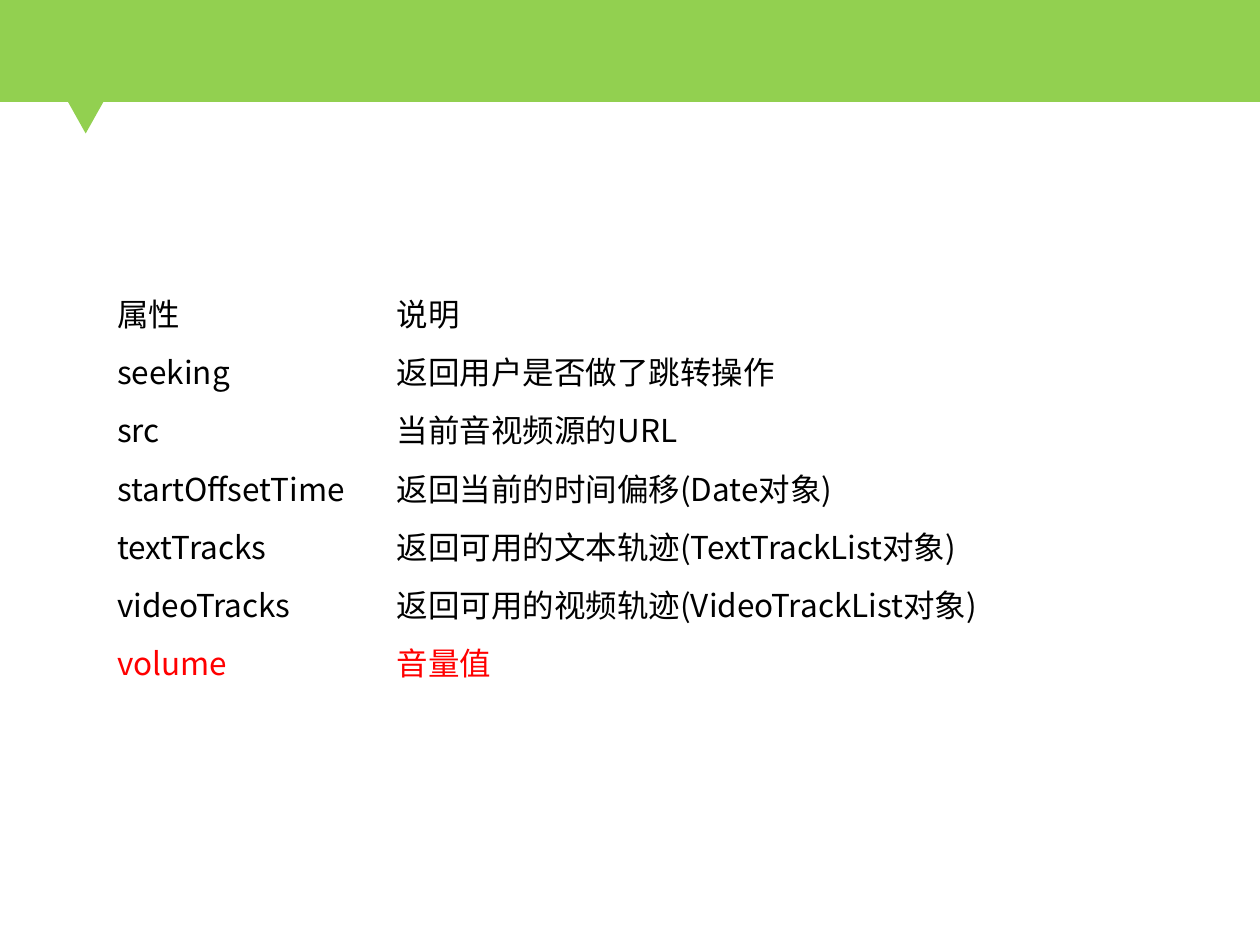
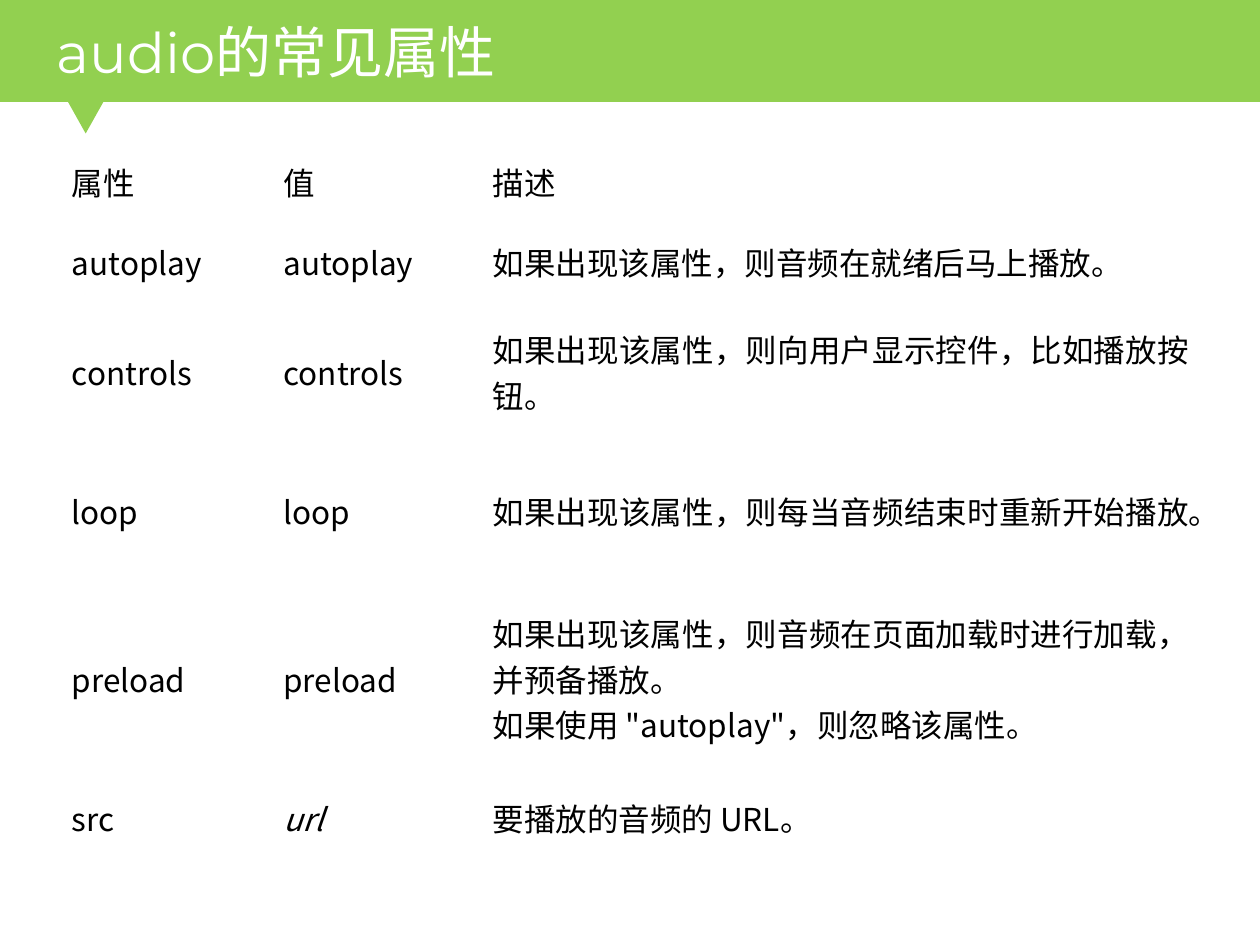
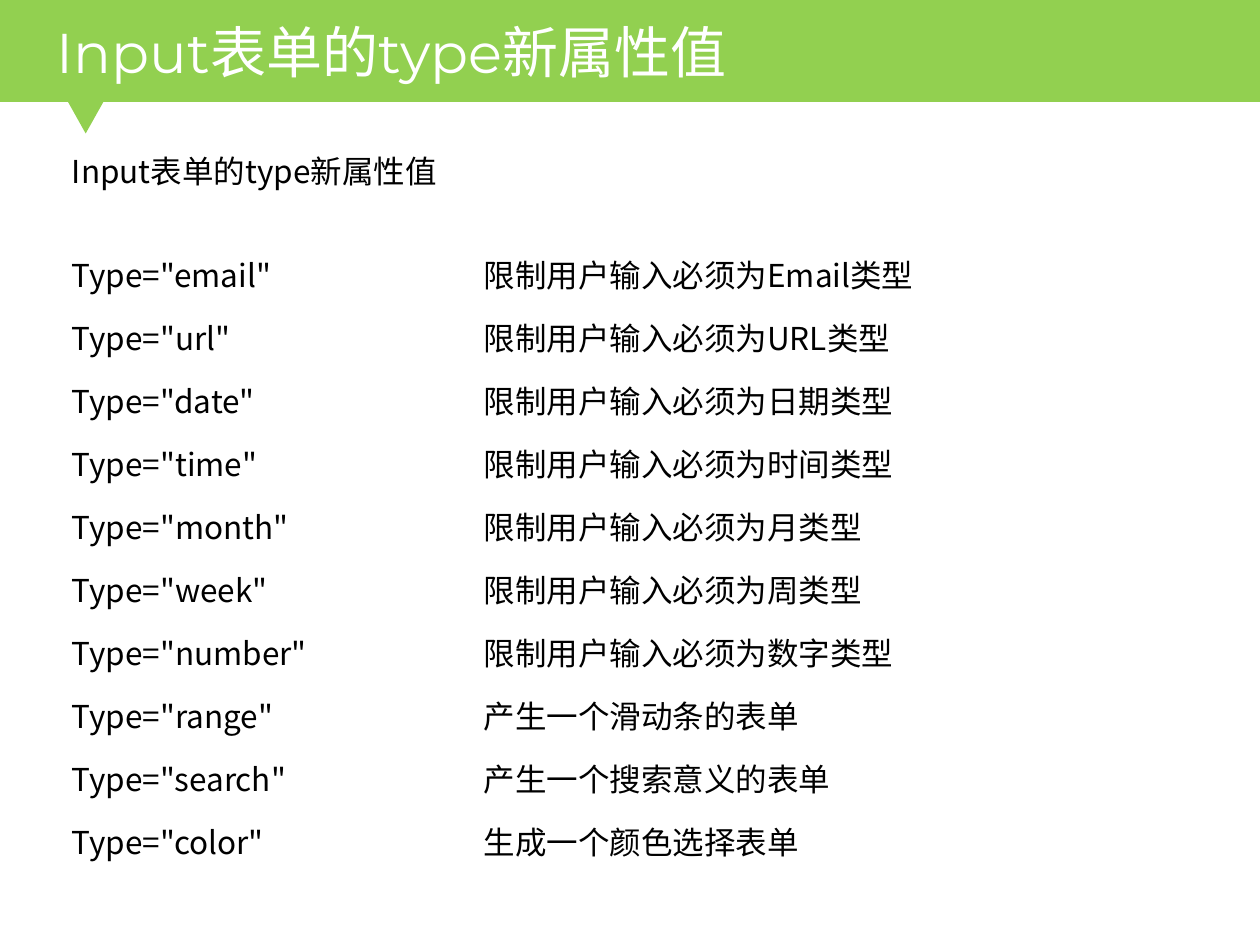
from dataclasses import dataclass

import pptx
import pptx.dml.color
import pptx.enum.shapes
import pptx.enum.text
import pptx.util
from pptx.util import Inches


def rgb(value):
    """Return a colour from its hex value."""
    return pptx.dml.color.RGBColor.from_string(value)


@dataclass(frozen=True)
class Theme:
    """Colours, fonts and type sizes shared by the slides."""
    band = rgb("92D050")
    title = rgb("FFFFFF")
    text = rgb("000000")
    highlight = rgb("FF0000")
    title_font = "Montserrat"
    body_font = "Noto Sans CJK SC"
    title_size = pptx.util.Pt(32)
    body_size = pptx.util.Pt(18)


THEME = Theme()
MIDDLE = pptx.enum.text.MSO_ANCHOR.MIDDLE
TOP = pptx.enum.text.MSO_ANCHOR.TOP

MEDIA_ROWS = [
    ("属性", "说明"),
    ("seeking", "返回用户是否做了跳转操作"),
    ("src", "当前音视频源的URL"),
    ("startOffsetTime", "返回当前的时间偏移(Date对象)"),
    ("textTracks", "返回可用的文本轨迹(TextTrackList对象)"),
    ("videoTracks", "返回可用的视频轨迹(VideoTrackList对象)"),
    ("volume", "音量值"),
]
AUDIO_ROWS = [
    ("属性", "值", "描述"),
    ("autoplay", "autoplay", "如果出现该属性，则音频在就绪后马上播放。"),
    ("controls", "controls", "如果出现该属性，则向用户显示控件，比如播放按钮。"),
    ("loop", "loop", "如果出现该属性，则每当音频结束时重新开始播放。"),
    ("preload", "preload",
     "如果出现该属性，则音频在页面加载时进行加载，并预备播放。\n"
     "如果使用 \"autoplay\"，则忽略该属性。"),
    ("src", "url", "要播放的音频的 URL。"),
]
INPUT_TYPES = [
    ("email", "限制用户输入必须为Email类型"),
    ("url", "限制用户输入必须为URL类型"),
    ("date", "限制用户输入必须为日期类型"),
    ("time", "限制用户输入必须为时间类型"),
    ("month", "限制用户输入必须为月类型"),
    ("week", "限制用户输入必须为周类型"),
    ("number", "限制用户输入必须为数字类型"),
    ("range", "产生一个滑动条的表单"),
    ("search", "产生一个搜索意义的表单"),
    ("color", "生成一个颜色选择表单"),
]


def style_font(font, name, size, color):
    """Set the typeface, size and colour of a font."""
    font.name = name
    font.size = size
    font.color.rgb = color


def add_band_shape(s, kind, left, top, width, height):
    """Add one plain shape in the band colour."""
    sp = s.shapes.add_shape(kind, Inches(left), Inches(top), Inches(width), Inches(height))
    sp.shadow.inherit = False
    sp.fill.solid()
    sp.fill.fore_color.rgb = THEME.band
    sp.line.fill.background()
    return sp


def add_master_band(prs, s):
    """Draw the band and its pointer on a slide and move them to the master."""
    shapes = pptx.enum.shapes.MSO_SHAPE
    band = add_band_shape(s, shapes.RECTANGLE, 0, 0, 10, 0.81)
    pointer = add_band_shape(s, shapes.ISOSCELES_TRIANGLE, 0.54, 0.81, 0.28, 0.25)
    pointer.element.spPr.xfrm.set("flipV", "1")
    for i, sp in enumerate((band, pointer)):
        sp.element.nvSpPr.cNvPr.set("id", str(101 + i))
        prs.slide_master.shapes.element.insert(2 + i, sp.element)


def add_title(s, text):
    """Fill and place the title placeholder on the band."""
    sp = s.shapes.title
    sp.left, sp.top, sp.width, sp.height = map(Inches, (0.35, 0.06, 9.07, 0.76))
    tf = sp.text_frame
    tf.text = text
    tf.auto_size = pptx.enum.text.MSO_AUTO_SIZE.NONE
    tf.vertical_anchor = MIDDLE
    p = tf.paragraphs[0]
    p.alignment = pptx.enum.text.PP_ALIGN.LEFT
    p.line_spacing = 0.9
    style_font(p.font, THEME.title_font, THEME.title_size, THEME.title)


def fill_cell(cell, text, anchor):
    """Write justified body text in an unfilled cell."""
    cell.fill.background()
    cell.vertical_anchor = anchor
    cell.text = text
    for p in cell.text_frame.paragraphs:
        p.alignment = pptx.enum.text.PP_ALIGN.JUSTIFY
        style_font(p.font, THEME.body_font, THEME.body_size, THEME.text)


def add_text_table(s, rows, left, top, widths, heights, anchor=MIDDLE):
    """Add a plain table with the given column widths and row heights."""
    frame = s.shapes.add_table(len(rows), len(widths), Inches(left), Inches(top),
                               Inches(sum(widths)), Inches(sum(heights)))
    table = frame.table
    table.first_row = table.horz_banding = False
    for column, width in zip(table.columns, widths):
        column.width = Inches(width)
    for row, height, texts in zip(table.rows, heights, rows):
        row.height = Inches(height)
        for cell, text in zip(row.cells, texts):
            fill_cell(cell, text, anchor)
    return table


def main():
    """Build the three slides and save them."""
    prs = pptx.Presentation()
    prs.slide_width, prs.slide_height = Inches(10), Inches(7.5)
    title_only, blank = prs.slide_layouts[5], prs.slide_layouts[6]

    s = prs.slides.add_slide(blank)
    add_master_band(prs, s)
    table = add_text_table(s, MEDIA_ROWS, 0.83, 2.25, (2.22, 6.15), [0.41] * len(MEDIA_ROWS))
    for cell in table.rows[len(MEDIA_ROWS) - 1].cells:
        cell.text_frame.paragraphs[0].font.color.rgb = THEME.highlight

    s = prs.slides.add_slide(title_only)
    add_title(s, "audio的常见属性")
    table = add_text_table(s, AUDIO_ROWS, 0.47, 1.12, (1.68, 1.66, 5.73),
                           (0.64, 0.64, 1.1, 1.1, 1.57, 0.64))
    table.cell(5, 1).text_frame.paragraphs[0].font.italic = True

    s = prs.slides.add_slide(title_only)
    add_title(s, "Input表单的type新属性值")
    rows = [("Input表单的type新属性值", "")]
    rows += [(f'Type="{name}"', effect) for name, effect in INPUT_TYPES]
    add_text_table(s, rows, 0.47, 1.12, (3.27, 5.8), [0.7] + [0.5] * len(INPUT_TYPES), TOP)

    prs.save("out.pptx")


if __name__ == "__main__":
    main()
